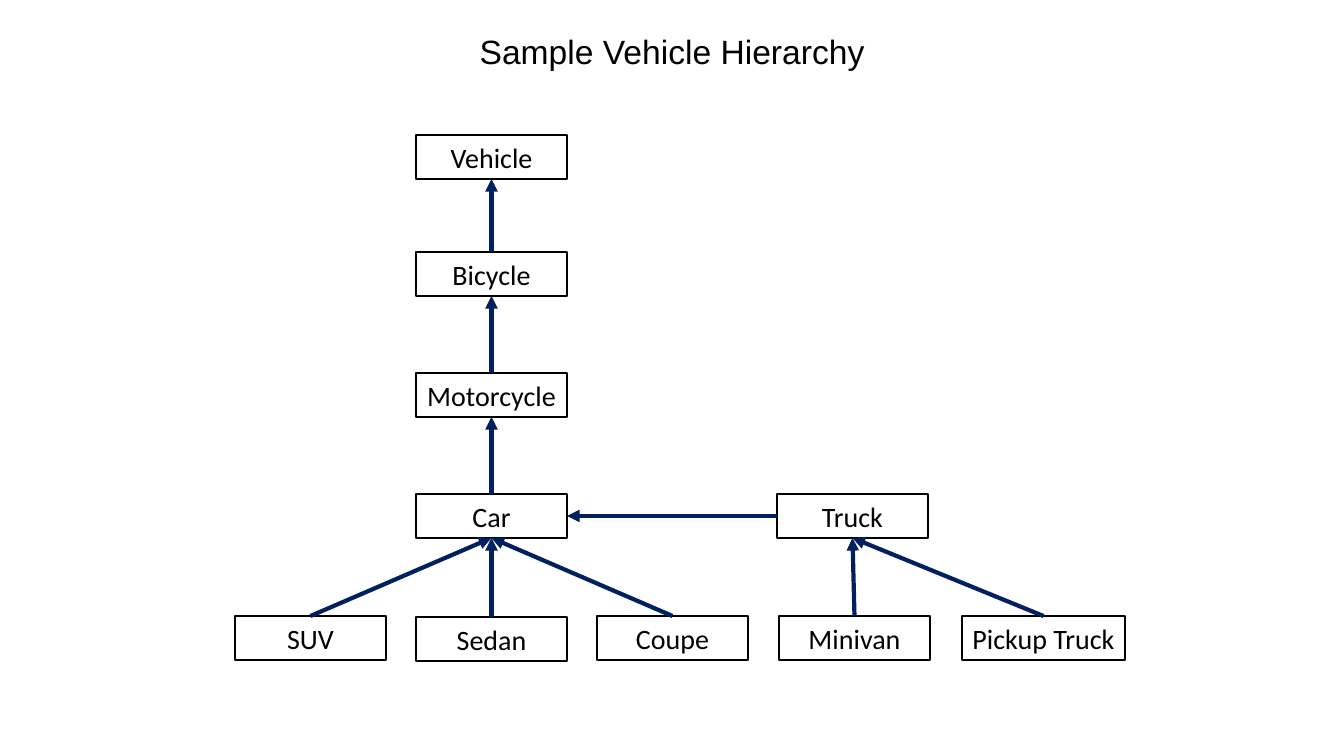
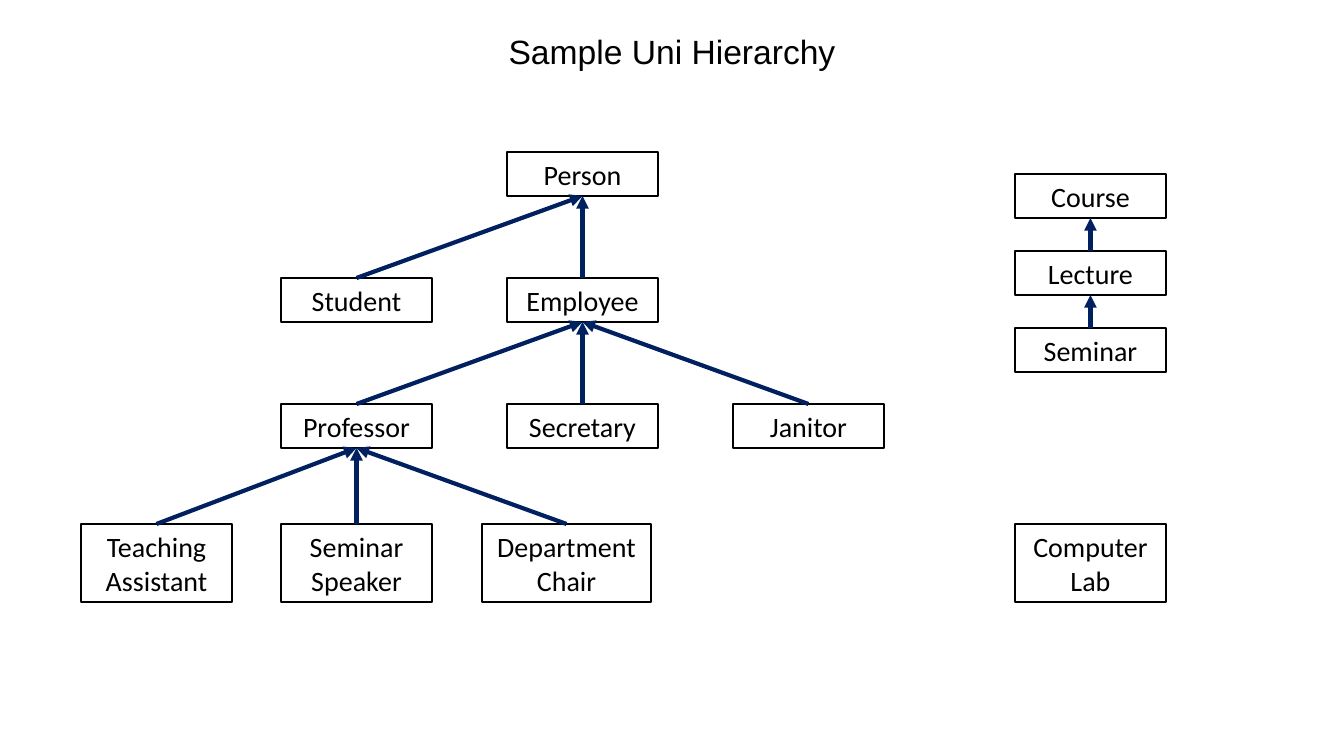
from dataclasses import dataclass

from lxml.etree import SubElement
from pptx import Presentation
from pptx.dml.color import RGBColor
from pptx.enum.shapes import MSO_CONNECTOR, MSO_SHAPE
from pptx.enum.text import MSO_ANCHOR, MSO_AUTO_SIZE, PP_ALIGN
from pptx.oxml.ns import qn
from pptx.presentation import Presentation as Deck
from pptx.shapes.autoshape import Shape
from pptx.slide import Slide
from pptx.util import Emu, Pt

PX_PER_INCH = 100.8
TITLE_ONLY = 5
TOP, LEFT, BOTTOM, RIGHT = range(4)


@dataclass(frozen=True)
class Theme:
    ink: RGBColor = RGBColor(0x00, 0x00, 0x00)
    arrow: RGBColor = RGBColor(0x00, 0x20, 0x60)
    title_font: str = "Arial"
    title_size: Pt = Pt(24)
    node_font: str = "Calibri"
    node_size: Pt = Pt(20)
    border: Pt = Pt(1.5)
    arrow_width: Pt = Pt(3)


@dataclass(frozen=True)
class Node:
    name: str
    x: int
    y: int
    parent: str = ""
    w: int = 151
    h: int = 44


@dataclass(frozen=True)
class Hierarchy:
    title: str
    nodes: list[Node]


THEME = Theme()
TALL = 78

TRUNK = 416
LEAF_ROW = 616
VEHICLES = Hierarchy("Sample Vehicle Hierarchy", [
    Node("Vehicle", TRUNK, 135),
    Node("Bicycle", TRUNK, 252, "Vehicle"),
    Node("Motorcycle", TRUNK, 373, "Bicycle"),
    Node("Car", TRUNK, 494, "Motorcycle"),
    Node("Truck", 777, 494, "Car"),
    Node("SUV", 235, LEAF_ROW, "Car"),
    Node("Sedan", TRUNK, LEAF_ROW + 1, "Car"),
    Node("Coupe", 597, LEAF_ROW, "Car"),
    Node("Minivan", 779, LEAF_ROW, "Truck"),
    Node("Pickup Truck", 962, LEAF_ROW, "Truck", w=163),
])

COLS = [281 + 226 * i for i in range(3)]
ROWS = [152 + 126 * i for i in range(3)]
COURSE_COL = 1015
COURSE_ROWS = [174 + 77 * i for i in range(3)]
TALL_ROW = 524
UNIVERSITY = Hierarchy("Sample Uni Hierarchy", [
    Node("Person", COLS[1], ROWS[0]),
    Node("Student", COLS[0], ROWS[1], "Person"),
    Node("Employee", COLS[1], ROWS[1], "Person"),
    Node("Professor", COLS[0], ROWS[2], "Employee"),
    Node("Secretary", COLS[1], ROWS[2], "Employee"),
    Node("Janitor", COLS[2], ROWS[2], "Employee"),
    Node("Teaching Assistant", 81, TALL_ROW, "Professor", h=TALL),
    Node("Seminar Speaker", COLS[0], TALL_ROW, "Professor", h=TALL),
    Node("Department Chair", 482, TALL_ROW, "Professor", w=169, h=TALL),
    Node("Course", COURSE_COL, COURSE_ROWS[0]),
    Node("Lecture", COURSE_COL, COURSE_ROWS[1], "Course"),
    Node("Seminar", COURSE_COL, COURSE_ROWS[2], "Lecture"),
    Node("Computer Lab", COURSE_COL, TALL_ROW, h=TALL),
])


def px(n: int) -> Emu:
    return Emu(round(n * 914400 / PX_PER_INCH))


def set_text(sp: Shape, text: str, font: str, size: Pt) -> None:
    tf = sp.text_frame
    tf.text = text
    p = tf.paragraphs[0]
    p.alignment = PP_ALIGN.CENTER
    p.font.name = font
    p.font.size = size
    p.font.color.rgb = THEME.ink


def add_title(s: Slide, text: str) -> None:
    sp = s.shapes.title
    sp.left, sp.top, sp.width, sp.height = map(px, (447, 26, 450, 50))
    set_text(sp, text, THEME.title_font, THEME.title_size)
    tf = sp.text_frame
    tf.auto_size = MSO_AUTO_SIZE.NONE
    tf.vertical_anchor = MSO_ANCHOR.TOP


def add_node(s: Slide, node: Node) -> Shape:
    box = map(px, (node.x, node.y, node.w, node.h))
    sp = s.shapes.add_shape(MSO_SHAPE.RECTANGLE, *box)
    sp.shadow.inherit = False
    sp.fill.background()
    sp.line.color.rgb = THEME.ink
    sp.line.width = THEME.border
    set_text(sp, node.name, THEME.node_font, THEME.node_size)
    sp.text_frame.word_wrap = node.h == TALL
    return sp


def add_arrow(s: Slide, child: Shape, parent: Shape) -> None:
    start, end = (LEFT, RIGHT) if child.top == parent.top else (TOP, BOTTOM)
    cxn = s.shapes.add_connector(MSO_CONNECTOR.STRAIGHT, 0, 0, 0, 0)
    cxn.begin_connect(child, start)
    cxn.end_connect(parent, end)
    cxn.line.color.rgb = THEME.arrow
    cxn.line.width = THEME.arrow_width
    sp_pr = cxn.element.spPr
    SubElement(sp_pr.find(qn("a:ln")), qn("a:tailEnd"), type="triangle")
    SubElement(sp_pr, qn("a:effectLst"))


def add_hierarchy(prs: Deck, hierarchy: Hierarchy) -> None:
    s = prs.slides.add_slide(prs.slide_layouts[TITLE_ONLY])
    add_title(s, hierarchy.title)
    shapes = {node.name: add_node(s, node) for node in hierarchy.nodes}
    for node in hierarchy.nodes:
        if node.parent:
            add_arrow(s, shapes[node.name], shapes[node.parent])


def main() -> None:
    prs = Presentation()
    prs.slide_width, prs.slide_height = px(1344), px(756)
    for hierarchy in (VEHICLES, UNIVERSITY):
        add_hierarchy(prs, hierarchy)
    prs.save("out.pptx")


if __name__ == "__main__":
    main()
